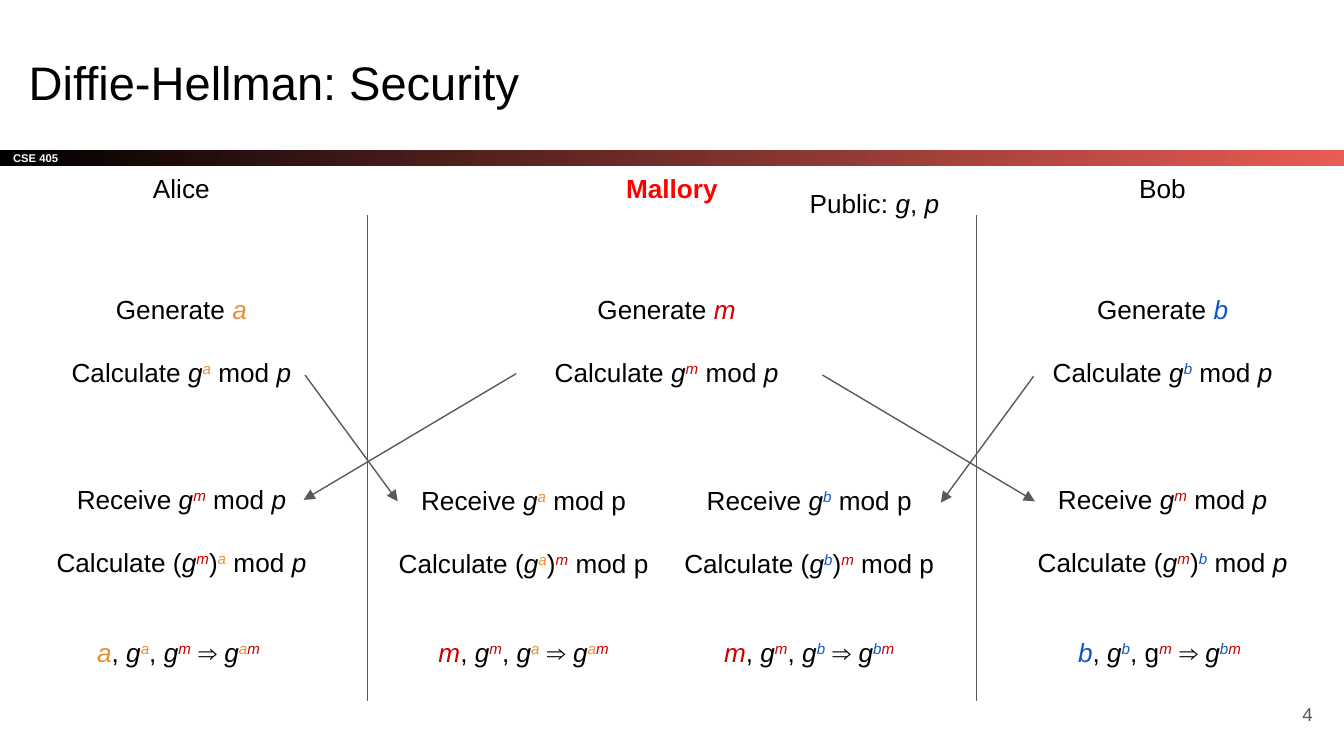
from lxml import etree
from pptx import Presentation
from pptx.dml.color import RGBColor
from pptx.enum.shapes import MSO_CONNECTOR, MSO_SHAPE
from pptx.enum.text import MSO_ANCHOR, MSO_AUTO_SIZE, PP_ALIGN
from pptx.oxml.ns import qn
from pptx.util import Pt

RECTANGLE = MSO_SHAPE.RECTANGLE
STRAIGHT = MSO_CONNECTOR.STRAIGHT
CENTER, LEFT, RIGHT = PP_ALIGN.CENTER, PP_ALIGN.LEFT, PP_ALIGN.RIGHT
TOP, MIDDLE, BOTTOM = MSO_ANCHOR.TOP, MSO_ANCHOR.MIDDLE, MSO_ANCHOR.BOTTOM
FIT_SHAPE, NO_FIT = MSO_AUTO_SIZE.SHAPE_TO_FIT_TEXT, MSO_AUTO_SIZE.NONE

COLORS = {
    "text": "000000", "white": "FFFFFF", "gray": "595959",
    "accent": "E85C54", "mallory": "FF0000",
    "a": "E69138", "b": "1155CC", "m": "CC0000",
}
FONT = "Arial"
LINE = 16.9
INSET = 7.2
SLIDE_WIDTH, SLIDE_HEIGHT = 720, 405
ALICE, MALLORY_LEFT, MALLORY, MALLORY_RIGHT, BOB = 97.2, 280.5, 357.1, 433.5, 622.8
HEADING_TOP, EXCHANGE_TOP, RECEIVE_TOP, RESULT_TOP = 85, 150, 252, 333.4
COLUMN_WIDTH = 152.6


def color(name):
    return RGBColor.from_string(COLORS[name])


def plain(text):
    return {"text": text}


def variable(name):
    return {"text": name, "color": name if name in COLORS else "text", "italic": True}


def power(name):
    return {**variable(name), "raised": True}


def add_run(paragraph, text, size=14, color_name="text", bold=False, italic=False, raised=False):
    run = paragraph.add_run()
    run.text = text
    font = run.font
    font.name, font.size = FONT, Pt(size)
    font.bold, font.italic = bold, italic
    font.color.rgb = color(color_name)
    if raised:
        run._r.get_or_add_rPr().set("baseline", "30000")


def format_frame(frame, anchor=TOP, auto_size=NO_FIT):
    frame.word_wrap = True
    frame.auto_size = auto_size
    frame.vertical_anchor = anchor
    frame.margin_left = frame.margin_right = Pt(INSET)
    frame.margin_top = frame.margin_bottom = Pt(INSET)


def add_centered_text(slide, center, top, width, lines):
    gaps = [gap for gap, _ in lines]
    height = LINE * (len(lines) + sum(gaps)) + 2 * INSET
    box = slide.shapes.add_textbox(Pt(center - width / 2), Pt(top), Pt(width), Pt(height))
    frame = box.text_frame
    format_frame(frame, auto_size=FIT_SHAPE)
    for index, (gap, parts) in enumerate(lines):
        paragraph = frame.add_paragraph() if index else frame.paragraphs[0]
        paragraph.alignment = CENTER
        paragraph.line_spacing = Pt(LINE)
        paragraph.space_before = Pt(gap * LINE)
        for part in parts:
            add_run(paragraph, part["text"], color_name=part.get("color", "text"),
                    bold=part.get("bold", False), italic=part.get("italic", False),
                    raised=part.get("raised", False))


def add_line(slide, start, end, arrow=False):
    line = slide.shapes.add_connector(STRAIGHT, *(Pt(value) for value in (*start, *end)))
    line.line.color.rgb = color("gray")
    line.line.width = Pt(0.75)
    if arrow:
        tail = etree.SubElement(line.line._get_or_add_ln(), qn("a:tailEnd"))
        tail.set("type", "triangle")
    etree.SubElement(line._element.spPr, qn("a:effectLst"))


def add_title(slide, text):
    title = slide.shapes.title
    title.left, title.top, title.width, title.height = Pt(8.2), Pt(20.6), Pt(671), Pt(45.4)
    format_frame(title.text_frame, BOTTOM)
    paragraph = title.text_frame.paragraphs[0]
    paragraph.alignment = LEFT
    add_run(paragraph, text, 25.2)


def add_course_bar(slide, text):
    bar = slide.shapes.add_shape(RECTANGLE, Pt(0), Pt(80.2), Pt(SLIDE_WIDTH), Pt(8.6))
    bar.shadow.inherit = False
    bar.line.fill.background()
    bar.fill.gradient()
    bar.fill.gradient_angle = 0
    for stop, position, name in zip(bar.fill.gradient_stops, (0, 1), ("text", "accent")):
        stop.position = position
        stop.color.rgb = color(name)
    format_frame(bar.text_frame, MIDDLE)
    paragraph = bar.text_frame.paragraphs[0]
    paragraph.alignment = LEFT
    add_run(paragraph, text, 6, "white", bold=True)


def add_page_number(slide, number):
    box = slide.shapes.add_textbox(Pt(667.2), Pt(367.2), Pt(43.2), Pt(31))
    format_frame(box.text_frame, MIDDLE)
    paragraph = box.text_frame.paragraphs[0]
    paragraph.alignment = RIGHT
    add_run(paragraph, number, 10, "gray")


def generate_lines(secret):
    return [
        (0, [plain("Generate "), variable(secret)]),
        (1, [plain("Calculate "), variable("g"), power(secret), plain(" mod "), variable("p")]),
    ]


def receive_lines(received, secret, gap, ending):
    return [
        (gap, [plain("Receive "), variable("g"), power(received), *ending]),
        (1, [plain("Calculate ("), variable("g"), power(received), plain(")"),
             power(secret), *ending]),
    ]


def result_line(secret, received, shared, second_base):
    return [(0, [
        variable(secret), plain(", "), variable("g"), power(secret), *second_base,
        power(received), plain(" ⇒ "), variable("g"),
        *(power(name) for name in shared),
    ])]


def main():
    presentation = Presentation()
    presentation.slide_width, presentation.slide_height = Pt(SLIDE_WIDTH), Pt(SLIDE_HEIGHT)
    slide = presentation.slides.add_slide(presentation.slide_layouts[5])

    add_course_bar(slide, "CSE 405")
    add_title(slide, "Diffie-Hellman: Security")
    for x in (196.9, 523.3):
        add_line(slide, (x, 115.2), (x, 375.6))

    mallory = {"text": "Mallory", "color": "mallory", "bold": True}
    for center, heading in ((97.2, plain("Alice")), (360, mallory), (622.8, plain("Bob"))):
        add_centered_text(slide, center, HEADING_TOP, 64, [(0, [heading])])
    add_centered_text(slide, 468.4, 92.9, 92.2, [
        (0, [plain("Public: "), variable("g"), plain(", "), variable("p")])])

    italic_ending = [plain(" mod "), variable("p")]
    for center, secret in ((ALICE, "a"), (BOB, "b")):
        add_centered_text(slide, center, EXCHANGE_TOP, COLUMN_WIDTH,
                          generate_lines(secret) + receive_lines("m", secret, 3, italic_ending))
    add_centered_text(slide, MALLORY, EXCHANGE_TOP, COLUMN_WIDTH, generate_lines("m"))
    for center, received in ((MALLORY_LEFT, "a"), (MALLORY_RIGHT, "b")):
        add_centered_text(slide, center, RECEIVE_TOP, COLUMN_WIDTH,
                          receive_lines(received, "m", 0, [plain(" mod p")]))

    italic_base = [plain(", "), variable("g")]
    for center, secret, received, shared, second_base in (
        (95.7, "a", "m", "am", italic_base),
        (MALLORY_LEFT, "m", "a", "am", italic_base),
        (MALLORY_RIGHT, "m", "b", "bm", italic_base),
        (621.2, "b", "m", "bm", [plain(", g")]),
    ):
        add_centered_text(slide, center, RESULT_TOP, 121.7,
                          result_line(secret, received, shared, second_base))

    for start, end in (
        ((276.5, 200.2), (162.7, 267.8)),
        ((163.4, 200.9), (213.1, 268.6)),
        ((440.6, 200.9), (554.4, 268.6)),
        ((553.7, 201.6), (504, 269.3)),
    ):
        add_line(slide, start, end, arrow=True)
    add_page_number(slide, "4")
    presentation.save("out.pptx")


if __name__ == "__main__":
    main()
